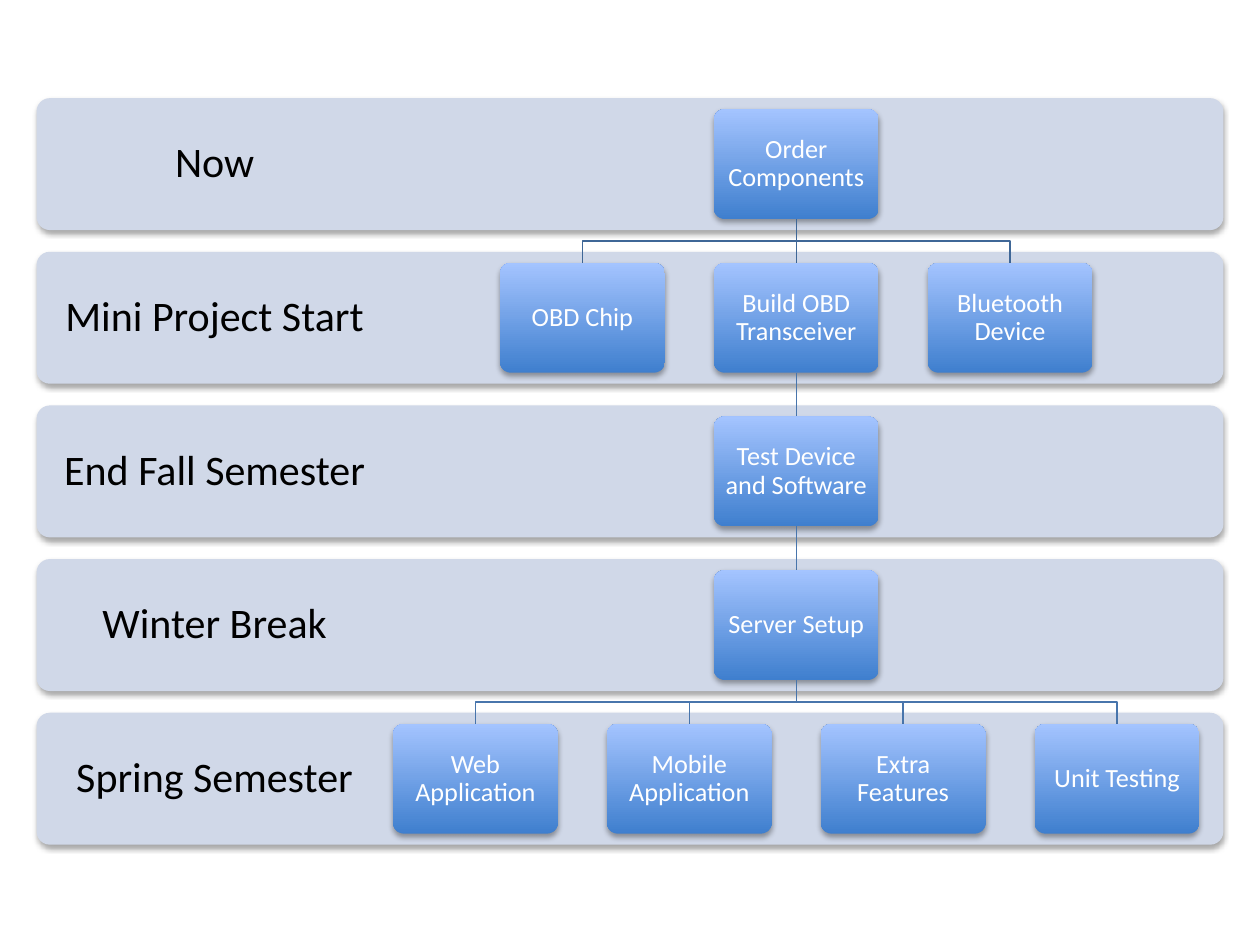
from lxml import etree
from pptx import Presentation
from pptx.dml.color import RGBColor
from pptx.enum import shapes, text
from pptx.oxml import ns
from pptx.util import Pt

BAND_FILL = RGBColor(0xD0, 0xD8, 0xE8)
BOX_BOTTOM = RGBColor(0x3F, 0x7F, 0xCE)
BOX_TOP = RGBColor(0xA4, 0xC4, 0xFF)
FIRST_LINK = RGBColor(0x3F, 0x67, 0x97)
OTHER_LINK = RGBColor(0x48, 0x75, 0xAC)
BLACK = RGBColor(0, 0, 0)
WHITE = RGBColor(0xFF, 0xFF, 0xFF)

BAND_LEFT, BAND_TOP, BAND_WIDTH, BAND_HEIGHT = 20.9, 56.1, 678.2, 75.4
ROW_STEP = 87.8
LABEL_WIDTH = 203.5
BOX_WIDTH, BOX_HEIGHT, BOX_STEP = 94.2, 62.8, 122.2
BOX_INDENT = (BAND_HEIGHT - BOX_HEIGHT) / 2
TREE_CENTER = 455

ROWS = [
    ("Now", ["Order Components"]),
    ("Mini Project Start", ["OBD Chip", "Build OBD Transceiver", "Bluetooth Device"]),
    ("End Fall Semester", ["Test Device and Software"]),
    ("Winter Break", ["Server Setup"]),
    ("Spring Semester", ["Web Application", "Mobile Application",
                         "Extra Features", "Unit Testing"]),
]


def add_panel(left, top, width, height, words, size, color, insets):
    """Add a rounded, softly shadowed panel with centred text."""
    shape = slide.shapes.add_shape(shapes.MSO_SHAPE.ROUNDED_RECTANGLE,
                                   Pt(left), Pt(top), Pt(width), Pt(height))
    shape.adjustments[0] = 0.1
    shape.line.fill.background()
    shape.shadow.inherit = False
    effects = shape._element.spPr.find(ns.qn("a:effectLst"))
    shadow = etree.SubElement(effects, ns.qn("a:outerShdw"), blurRad="40000",
                              dist="23000", dir="5400000", rotWithShape="0")
    shade = etree.SubElement(shadow, ns.qn("a:srgbClr"), val="000000")
    etree.SubElement(shade, ns.qn("a:alpha"), val="35000")

    frame = shape.text_frame
    frame.word_wrap = True
    frame.vertical_anchor = text.MSO_ANCHOR.MIDDLE
    frame.margin_left, frame.margin_right = Pt(insets[0]), Pt(insets[1])
    frame.margin_top = frame.margin_bottom = Pt(4)
    paragraph = frame.paragraphs[0]
    paragraph.text = words
    paragraph.alignment = text.PP_ALIGN.CENTER
    paragraph.line_spacing = 0.9
    paragraph.font.name = "Calibri"
    paragraph.font.size = Pt(size)
    paragraph.font.color.rgb = color
    return shape


def add_link(start_y, end_x, end_y, color):
    """Join the central parent box to a child box below it."""
    if end_x == TREE_CENTER:
        link = slide.shapes.add_connector(shapes.MSO_CONNECTOR.STRAIGHT, Pt(end_x),
                                          Pt(start_y), Pt(end_x), Pt(end_y))
        etree.SubElement(link._element.spPr, ns.qn("a:effectLst"))
    else:
        middle_y = (start_y + end_y) / 2
        builder = slide.shapes.build_freeform(Pt(TREE_CENTER), Pt(start_y))
        corners = [(TREE_CENTER, middle_y), (end_x, middle_y), (end_x, end_y)]
        builder.add_line_segments([(Pt(x), Pt(y)) for x, y in corners], close=False)
        link = builder.convert_to_shape()
        link.fill.background()
        link.shadow.inherit = False
    link.line.color.rgb = color
    link.line.width = Pt(0.75)


presentation = Presentation()
presentation.slide_width, presentation.slide_height = Pt(720), Pt(540)
slide = presentation.slides.add_slide(presentation.slide_layouts[6])

for row, (label, _) in enumerate(ROWS):
    band = add_panel(BAND_LEFT, BAND_TOP + row * ROW_STEP, BAND_WIDTH, BAND_HEIGHT,
                     label, 24, BLACK, (11.5, BAND_WIDTH - LABEL_WIDTH + 11.5))
    band.fill.solid()
    band.fill.fore_color.rgb = BAND_FILL

for row, (_, tasks) in enumerate(ROWS):
    box_top = BAND_TOP + row * ROW_STEP + BOX_INDENT
    parent_bottom = box_top - ROW_STEP + BOX_HEIGHT
    for column, task in enumerate(tasks):
        center = TREE_CENTER + (column - (len(tasks) - 1) / 2) * BOX_STEP
        if row > 0:
            add_link(parent_bottom, center, box_top,
                     FIRST_LINK if row == 1 else OTHER_LINK)
        box = add_panel(center - BOX_WIDTH / 2, box_top, BOX_WIDTH, BOX_HEIGHT,
                        task, 15, WHITE, (4.2, 4.2))
        box.fill.gradient()
        box.fill.gradient_angle = 90
        for stop, position, color in zip(box.fill.gradient_stops, (0, 1),
                                         (BOX_BOTTOM, BOX_TOP)):
            stop.position = position
            stop.color.rgb = color

presentation.save("out.pptx")
